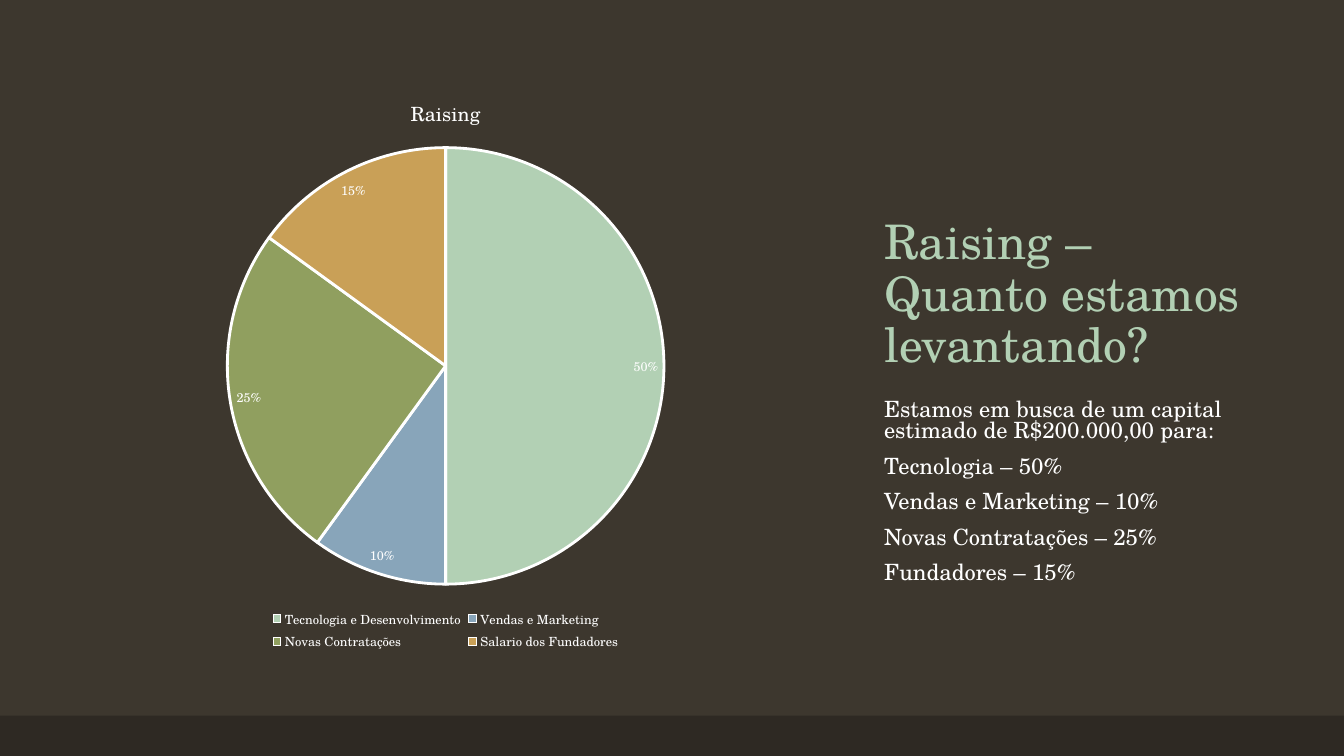
from pptx import Presentation
from pptx.chart.data import CategoryChartData as ChartData
from pptx.dml.color import RGBColor as RGB
from pptx.enum.chart import XL_CHART_TYPE as Kind, XL_LABEL_POSITION as Spot
from pptx.enum.chart import XL_LEGEND_POSITION as Side
from pptx.enum.shapes import MSO_SHAPE as Shape
from pptx.enum.text import MSO_ANCHOR as Anchor, MSO_AUTO_SIZE as Fit
from pptx.util import Inches, Pt

# Content
TITLE = "Raising – Quanto estamos levantando?"
BODY = [
    "Estamos em busca de um capital estimado de R$200.000,00 para:",
    "Tecnologia – 50%",
    "Vendas e Marketing – 10%",
    "Novas Contratações – 25%",
    "Fundadores – 15%",
]
CHART = "Raising"
SHARES = [
    ("Tecnologia e Desenvolvimento", 50, "B2D0B4"),
    ("Vendas e Marketing", 10, "88A5BA"),
    ("Novas Contratações", 25, "909F5F"),
    ("Salario dos Fundadores", 15, "C9A057"),
]


class Theme:
    face = "TeX Gyre Schola"
    back, band, mint, white = "3D372E", "2E2923", "B2D0B4", "FFFFFF"
    title, body, head, base, small = 34, 16, 14, 10, 9


# Layout
WIDE, HIGH, FOOT = 13.33, 7.5, 0.4
LEFT, COL = 8.67, 3.75


def box(left, top, width, height):
    return [Inches(n) for n in (left, top, width, height)]


def paint(fill, color):
    fill.solid()
    fill.fore_color.rgb = RGB.from_string(color)


def style(font, size, color=Theme.white):
    font.name, font.size, font.bold = Theme.face, Pt(size), False
    font.color.rgb = RGB.from_string(color)


def write(frame, lines, size, color=Theme.white, anchor=Anchor.TOP,
          pitch=1.0, gap=0):
    frame.word_wrap, frame.auto_size = True, Fit.NONE
    frame.vertical_anchor = anchor
    frame.margin_left = frame.margin_right = Inches(0.1)
    frame.margin_top = frame.margin_bottom = Inches(0.05)
    for i, line in enumerate(lines):
        para = frame.paragraphs[0] if i == 0 else frame.add_paragraph()
        para.line_spacing = pitch
        para.space_before = Pt(gap if i else 0)
        run = para.add_run()
        run.text = line
        style(run.font, size, color)


deck = Presentation()
deck.slide_width, deck.slide_height = Inches(WIDE), Inches(HIGH)
slide = deck.slides.add_slide(deck.slide_layouts[5])
paint(slide.background.fill, Theme.back)

# Footer band
band = slide.shapes.add_shape(Shape.RECTANGLE, *box(0, HIGH - FOOT, WIDE, FOOT))
band.shadow.inherit = False
paint(band.fill, Theme.band)
band.line.fill.background()

# Title
title = slide.shapes.title
title.left, title.top, title.width, title.height = box(LEFT, 1.67, COL, 2.08)
write(title.text_frame, [TITLE], Theme.title, color=Theme.mint,
      anchor=Anchor.BOTTOM, pitch=0.9)
title.text_frame.paragraphs[0].alignment = 1

# Body text
body = slide.shapes.add_textbox(*box(LEFT, 3.92, COL, 2))
write(body.text_frame, BODY, Theme.body, pitch=0.8, gap=10)

# Pie chart
data = ChartData()
data.categories = [name for name, _, _ in SHARES]
data.add_series("Series 1", [share for _, share, _ in SHARES])
pie = slide.shapes.add_chart(Kind.PIE, *box(0.92, 0.75, 7, 5.75), data).chart
style(pie.font, Theme.base)
pie.has_title = True
write(pie.chart_title.text_frame, [CHART], Theme.head)
pie.chart_title.include_in_layout = False

pie.has_legend = True
pie.legend.position = Side.BOTTOM
pie.legend.include_in_layout = False
style(pie.legend.font, Theme.small)

plot = pie.plots[0]
plot.vary_by_categories = True
for i, (_, _, color) in enumerate(SHARES):
    form = plot.series[0].points[i].format
    paint(form.fill, color)
    paint(form.line.fill, Theme.white)
    form.line.width = Pt(2)

# Share labels
plot.has_data_labels = True
labels = plot.data_labels
labels.show_percentage, labels.show_value = True, False
labels.number_format, labels.number_format_is_linked = "0%", False
labels.position = Spot.BEST_FIT
style(labels.font, Theme.small)

deck.save("out.pptx")
